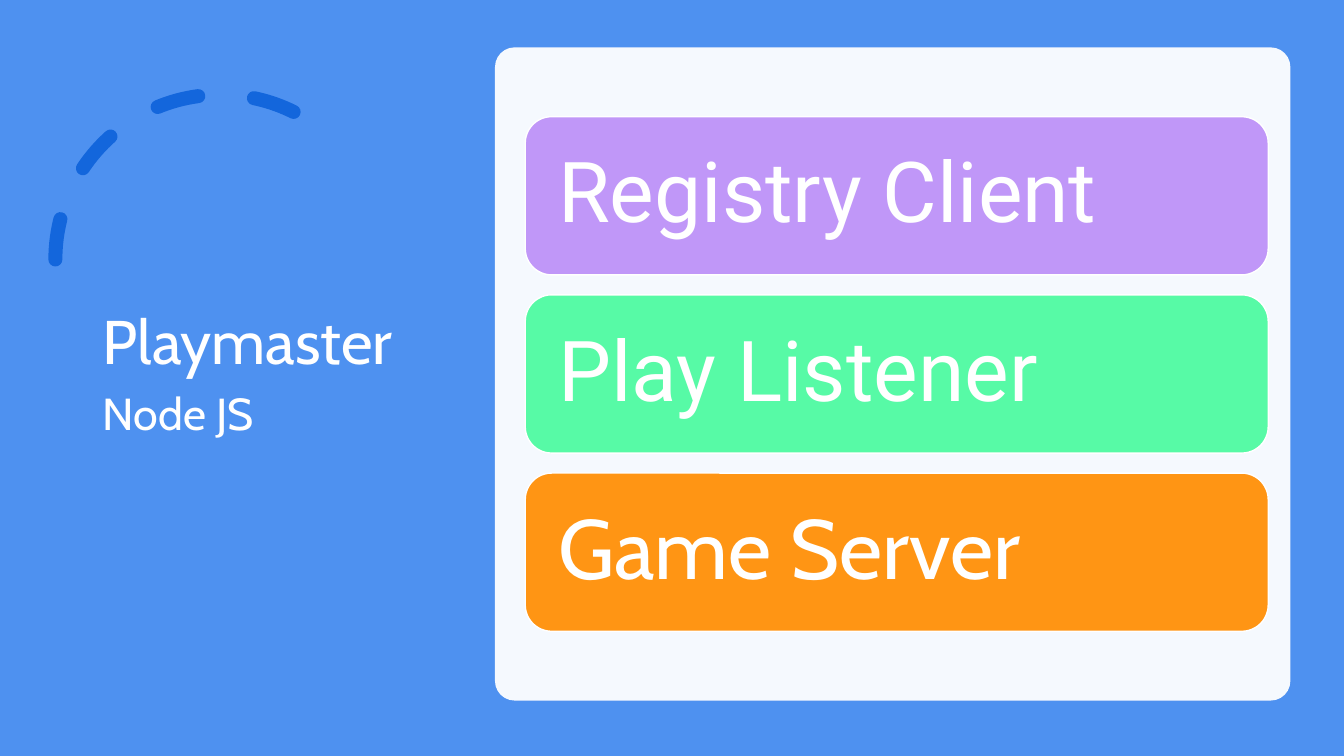
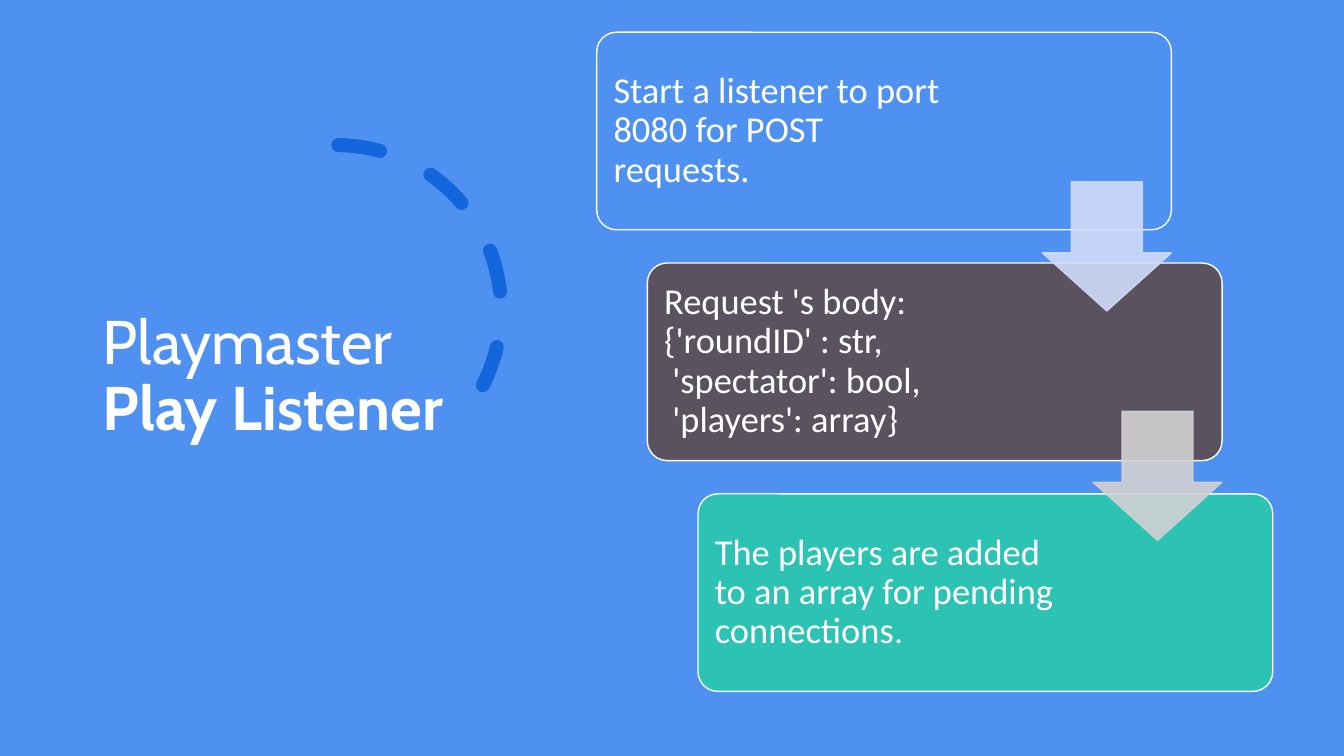
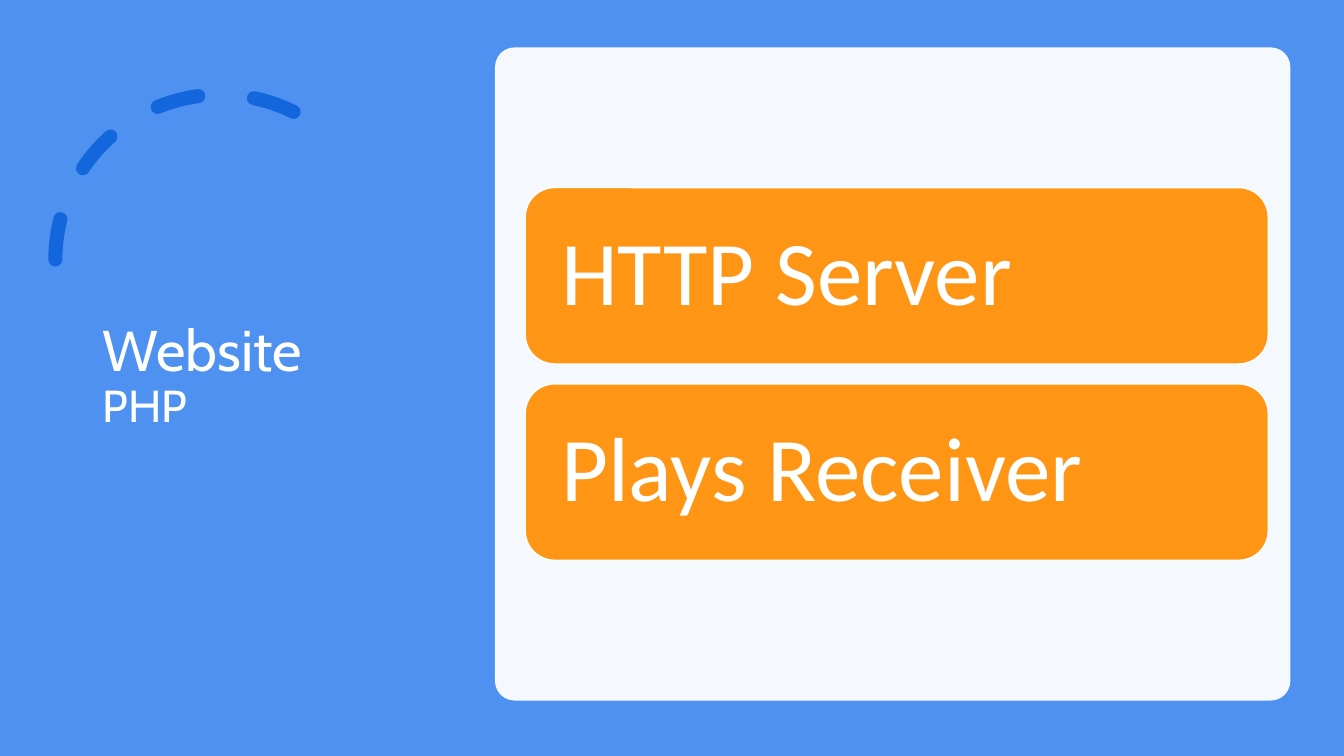
import lxml.etree
import pptx
import pptx.dml.color
import pptx.enum.dml
import pptx.enum.shapes
import pptx.enum.text
import pptx.oxml.ns
import pptx.util

WHITE = pptx.dml.color.RGBColor(0xFF, 0xFF, 0xFF)
BLUE = pptx.dml.color.RGBColor(0x4E, 0x91, 0xF0)
DEEP_BLUE = pptx.dml.color.RGBColor(0x13, 0x66, 0xDC)
PURPLE = pptx.dml.color.RGBColor(0xC0, 0x97, 0xF8)
GREEN = pptx.dml.color.RGBColor(0x57, 0xFA, 0xA6)
ORANGE = pptx.dml.color.RGBColor(0xFF, 0x95, 0x14)
SLATE = pptx.dml.color.RGBColor(0x5B, 0x52, 0x60)
TEAL = pptx.dml.color.RGBColor(0x2C, 0xC3, 0xB4)
PALE_BLUE = pptx.dml.color.RGBColor(0xD0, 0xDC, 0xF9)
PALE_GREY = pptx.dml.color.RGBColor(0xD2, 0xD1, 0xD2)

PRESETS = pptx.enum.shapes.MSO_SHAPE
MIDDLE = pptx.enum.text.MSO_ANCHOR.MIDDLE
LEFT = pptx.enum.text.PP_ALIGN.LEFT

deck = pptx.Presentation()
deck.slide_width = pptx.util.Inches(13.33)
deck.slide_height = pptx.util.Inches(7.5)
COLUMN = deck.slide_width / 100
ROW = deck.slide_height / 100

background = deck.slide_master.background.fill
background.solid()
background.fore_color.rgb = BLUE


def add_box(page, preset, left, top, width, height, fill=None, line=None, opacity=100):
    box = page.shapes.add_shape(
        preset, int(left * COLUMN), int(top * ROW), int(width * COLUMN), int(height * ROW)
    )
    box.shadow.inherit = False
    for paint, color in ((box.fill, fill), (box.line.fill, line)):
        if color is None:
            paint.background()
        else:
            paint.solid()
            paint.fore_color.rgb = color
    if line is not None:
        box.line.width = pptx.util.Pt(1)
    if opacity < 100:
        for color in box.element.spPr.iter(pptx.oxml.ns.qn("a:srgbClr")):
            alpha = lxml.etree.SubElement(color, pptx.oxml.ns.qn("a:alpha"))
            alpha.set("val", str(opacity * 1000))
    return box


def write_lines(box, lines, margins=None):
    frame = box.text_frame
    frame.word_wrap = True
    frame.auto_size = pptx.enum.text.MSO_AUTO_SIZE.NONE
    frame.vertical_anchor = MIDDLE
    if margins:
        (frame.margin_left, frame.margin_top,
         frame.margin_right, frame.margin_bottom) = map(pptx.util.Inches, margins)
    para = frame.paragraphs[0]
    para.alignment = LEFT
    para.line_spacing = 0.9
    for index, line in enumerate(lines):
        if index:
            para.add_line_break()
        for text, size, font, bold in line:
            span = para.add_run()
            span.text = text
            span.font.size = pptx.util.Pt(size)
            span.font.name = font
            span.font.bold = bold
            span.font.color.rgb = WHITE


TITLES = [
    (24.22, [[("Playmaster", 44, "Cabin", False)],
             [("Node JS", 32, "Cabin", False), (" ", 44, "Cabin", False)]]),
    (28.35, [[("Playmaster ", 44, "Cabin", False), ("Play Listener", 44, "Cabin", True)]]),
    (25.35, [[("Website", 41, "Cabin", False)], [("PHP", 32, "Cabin", False)]]),
]
ARCS = [(4.12, 12.53, True, 0), (12.75, 19.2, False, 27.2), (4.12, 12.53, True, 0)]

pages = []
for (title_width, title_lines), (left, top, flipped, rotation) in zip(TITLES, ARCS):
    page = deck.slides.add_slide(deck.slide_layouts[5])
    pages.append(page)
    arc = add_box(page, PRESETS.ARC, left, top, 24.53, 43.6, line=DEEP_BLUE)
    arc.adjustments[0] = 146.13
    arc.rotation = rotation
    arc.line.width = pptx.util.Pt(10)
    arc.line.dash_style = pptx.enum.dml.MSO_LINE.DASH
    arc.element.spPr.find(pptx.oxml.ns.qn("a:ln")).set("cap", "rnd")
    if flipped:
        arc.element.spPr.get_or_add_xfrm().set("flipH", "1")
    title = page.shapes.title
    title.left, title.top = int(6.9 * COLUMN), int(9.33 * ROW)
    title.width, title.height = int(title_width * COLUMN), int(81.2 * ROW)
    write_lines(title, title_lines)

PANEL_TOP, PANEL_HEIGHT = 6.27, 86.4
CARD_GAP = 2.64
PANELS = [
    (pages[0], 20.93, 60, 0.25, [("Registry Client", "Roboto", PURPLE),
                                 ("Play Listener", "Roboto", GREEN),
                                 ("Game Server", "Cabin", ORANGE)]),
    (pages[2], 23.33, 65, 0.27, [("HTTP Server", "Calibri", ORANGE),
                                 ("Plays Receiver", "Calibri", ORANGE)]),
]
for page, card_height, size, margin, cards in PANELS:
    panel = add_box(page, PRESETS.ROUNDED_RECTANGLE, 36.83, PANEL_TOP, 59.18, PANEL_HEIGHT,
                    fill=WHITE, opacity=95)
    panel.adjustments[0] = 0.03
    pitch = card_height + CARD_GAP
    first_top = PANEL_TOP + (PANEL_HEIGHT - len(cards) * pitch + CARD_GAP) / 2
    for index, (text, font, color) in enumerate(cards):
        card = add_box(page, PRESETS.ROUNDED_RECTANGLE, 39.08, first_top + index * pitch,
                       55.28, card_height, fill=color, line=WHITE)
        write_lines(card, [[(text, size, font, False)]], [margin] * 4)

STEPS = [
    (BLUE, 2.1, ["Start a listener to port 8080 for POST requests."]),
    (SLATE, 1.88, ["Request 's body:", "{'roundID' : str,", " 'spectator': bool,",
                   " 'players': array}"]),
    (TEAL, 1.88, ["The players are added to an array for pending connections"]),
]
for index, (color, right_margin, texts) in enumerate(STEPS):
    step = add_box(pages[1], PRESETS.ROUNDED_RECTANGLE, 44.4 + index * 3.77,
                   4.27 + index * 30.53, 42.76, 26.13, fill=color, line=WHITE)
    step.adjustments[0] = 0.1
    lines = [[(text, 26, "Calibri", False)] for text in texts]
    if color == TEAL:
        lines[-1].append((".", 26, "Roboto", False))
    write_lines(step, lines, (0.11, 0.11, right_margin, 0.11))

for index, color in enumerate((PALE_BLUE, PALE_GREY)):
    arrow = add_box(pages[1], PRESETS.DOWN_ARROW, 77.56 + index * 3.77, 24.07 + index * 30.33,
                    9.6, 17.07, fill=color, line=color, opacity=90)
    arrow.adjustments[0] = 0.55
    arrow.adjustments[1] = 0.45

deck.save("out.pptx")
